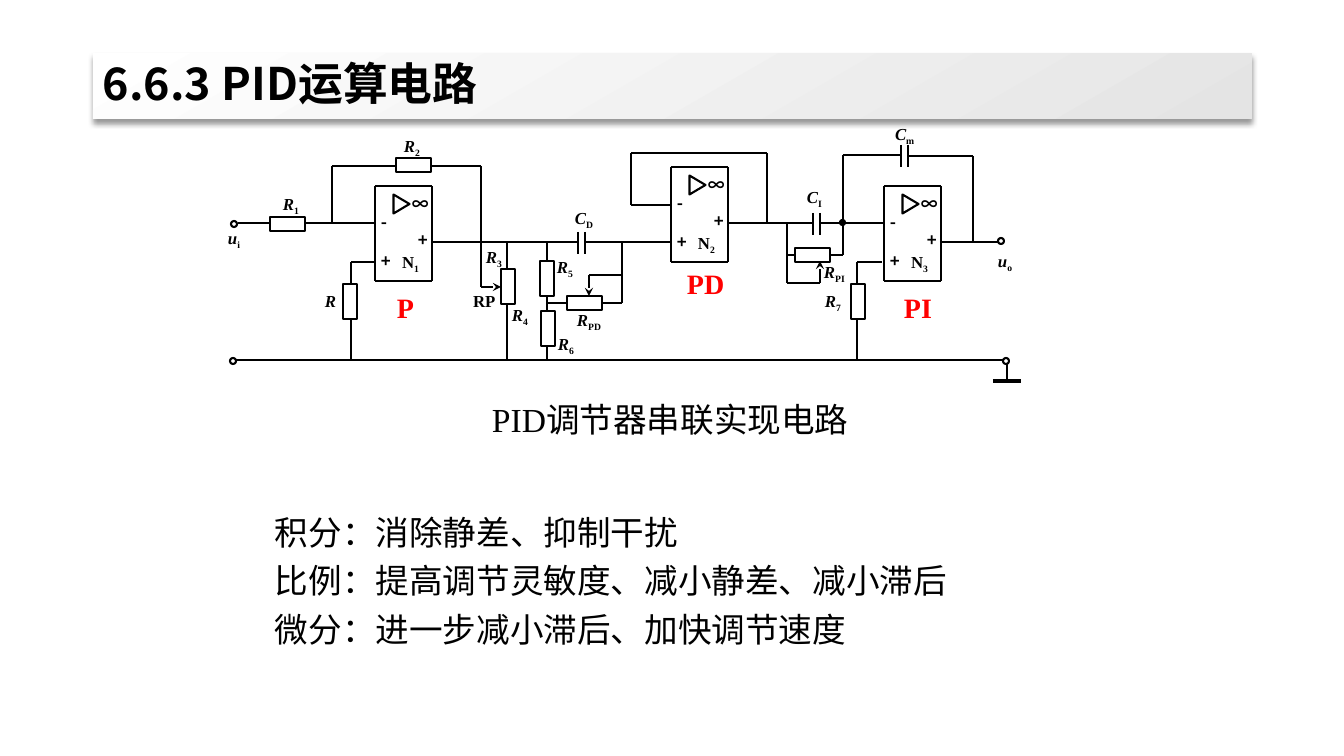
"""Build the slide on the PID operational circuit."""
from lxml import etree
from pptx import Presentation, util as u
from pptx.dml.color import RGBColor
from pptx.enum import shapes, text
from pptx.oxml import parse_xml
from pptx.oxml.ns import nsdecls, qn

SERIF, SANS = "Times New Roman", "Noto Sans CJK SC"
BLACK, WHITE, RED = "000000", "FFFFFF", "FF0000"
TITLE = "6.6.3 PID运算电路"
CAPTION = [("PID", SERIF), ("调节器串联实现电路", SANS)]
ROLES = ["积分：消除静差、抑制干扰", "比例：提高调节灵敏度、减小静差、减小滞后", "微分：进一步减小滞后、加快调节速度"]

WIRES = [
    [(238, 223), (375, 223)],
    [(332, 223), (332, 166), (481, 166), (481, 287)],
    [(374, 262), (351, 262), (351, 360)],
    [(432, 242), (578, 242)],
    [(507, 243), (507, 360)],
    [(547, 243), (547, 360)],
    [(585, 242), (672, 242)],
    [(622, 242), (622, 303), (603, 303)],
    [(548, 303), (567, 303)],
    [(589, 275), (622, 275)],
    [(671, 205), (631, 205), (631, 153), (767, 153), (767, 223)],
    [(728, 223), (813, 223)],
    [(821, 223), (883, 223)],
    [(787, 223), (787, 283), (820, 283)],
    [(787, 255), (843, 255), (843, 155), (901, 155)],
    [(909, 156), (973, 156), (973, 242)],
    [(940, 242), (999, 242)],
    [(882, 262), (857, 262), (857, 360)],
    [(231, 360), (1006, 360)],
    [(1007, 364), (1007, 380)],
]
ARROWS = [[(481, 287), (501, 287)], [(589, 275), (589, 296)], [(820, 283), (820, 261)]]
CAPACITORS = [(578, 232), (813, 213), (901, 145)]
FLAT_RESISTORS = [(270, 217), (396, 158), (567, 296), (795, 248)]
UPRIGHT_RESISTORS = [(343, 284), (501, 269), (540, 261), (541, 311), (851, 284)]
TERMINALS = [(231, 221), (998, 238), (230, 358), (1003, 358)]
AMPLIFIERS = [("1", 375, 186), ("2", 671, 167), ("3", 884, 186)]
AMPLIFIER_MARKS = [("∞", 37, 8), ("-", 6, 26), ("+", 6, 65), ("+", 43, 44)]
SYMBOLS = [
    ("R", "1", 283, 194, 29), ("R", "2", 404, 136, 27), ("R", "3", 486, 247, 22),
    ("R", "4", 512, 305, 22), ("R", "5", 557, 257, 22), ("R", "6", 558, 334, 22),
    ("R", "7", 825, 291, 33), ("R", "", 325, 291, 19), ("R", "PD", 577, 310, 30),
    ("R", "PI", 824, 262, 33), ("C", "D", 575, 208, 28), ("C", "I", 807, 187, 21),
    ("C", "m", 895, 124, 26), ("u", "i", 228, 228, 18), ("u", "o", 998, 251, 21),
]
STAGES = [("P", 397, 291), ("PD", 687, 267), ("PI", 904, 291)]

deck = Presentation()


def px(length):
    """Turn pixels into EMU."""
    return u.Emu(round(length * 914400 / 100.8))


def color(value):
    """Turn a hex string into a colour."""
    return RGBColor.from_string(value)


def add_span(para, words, size, font, bold=False, italic=False, ink=BLACK, base=None):
    """Add one run of text."""
    span = para.add_run()
    span.text = words
    face = span.font
    face.size, face.name, face.bold, face.italic = u.Pt(size), font, bold, italic
    face.color.rgb = color(ink)
    etree.SubElement(face._element, qn("a:ea")).set("typeface", font)
    if base:
        face._element.set("baseline", str(base * 1000))


def add_box(page, x, y, w, h, inset=0):
    """Add a wrapping text box and return its frame."""
    frame = page.shapes.add_textbox(px(x), px(y), px(w), px(h)).text_frame
    frame.word_wrap = True
    if not inset:
        frame.margin_left = frame.margin_right = frame.margin_top = frame.margin_bottom = 0
    return frame


def add_label(page, words, sub, x, y, w, size=12, font=SERIF, italic=False, ink=BLACK):
    """Add a bold circuit label with an optional subscript."""
    para = add_box(page, x, y, w, 22).paragraphs[0]
    add_span(para, words, size, font, True, italic, ink)
    if sub:
        add_span(para, sub, size, font, True, False, ink, -25)


def add_wire(page, points, weight=1.5, arrow=False):
    """Join successive points with straight lines."""
    for start, end in zip(points, points[1:]):
        line = page.shapes.add_connector(
            shapes.MSO_CONNECTOR.STRAIGHT, *[px(n) for n in (*start, *end)])
        line.line.color.rgb = color(BLACK)
        line.line.width = u.Pt(weight)
        if arrow:
            etree.SubElement(line.line._get_or_add_ln(), qn("a:tailEnd")).set("type", "stealth")
        etree.SubElement(line._element.spPr, qn("a:effectLst"))


def add_part(page, kind, x, y, w, h, fill=WHITE):
    """Add an outlined circuit part."""
    part = page.shapes.add_shape(kind, px(x), px(y), px(w), px(h))
    part.shadow.inherit = False
    part.fill.solid()
    part.fill.fore_color.rgb = color(fill)
    part.line.color.rgb = color(BLACK)
    part.line.width = u.Pt(1.5)
    return part


def add_amplifier(page, number, x, y):
    """Add an operational amplifier with its signs."""
    right, bottom = x + 57, y + 95
    add_wire(page, [(x, y), (right, y), (right, bottom), (x, bottom), (x, y)])
    add_part(page, shapes.MSO_SHAPE.ISOSCELES_TRIANGLE, x + 17, y + 10, 19, 16).rotation = 90
    for mark, dx, dy in AMPLIFIER_MARKS:
        add_label(page, mark, "", x + dx, y + dy, 17, font=SANS)
    add_label(page, "N", number, x + 27, y + 66, 24)


def add_title(page):
    """Add the shaded title bar."""
    bar = add_part(page, shapes.MSO_SHAPE.RECTANGLE, 93, 53, 1159, 66)
    bar.line.fill.background()
    bar.fill.gradient()
    bar.fill.gradient_angle = 300
    for stop, shade in zip(bar.fill.gradient_stops, (WHITE, "E4E4E4")):
        stop.color.rgb = color(shade)
    effects = bar._element.spPr.find(qn("a:effectLst"))
    effects.append(parse_xml(
        f'<a:outerShdw {nsdecls("a")} blurRad="{u.Pt(4)}" dist="{u.Pt(3)}" dir="5400000" '
        'algn="t" rotWithShape="0"><a:srgbClr val="000000"><a:alpha val="40000"/>'
        '</a:srgbClr></a:outerShdw>'))
    frame = bar.text_frame
    frame.vertical_anchor = text.MSO_ANCHOR.MIDDLE
    para = frame.paragraphs[0]
    para.alignment = text.PP_ALIGN.LEFT
    para.line_spacing = 0.9
    add_span(para, TITLE, 32, SANS, True)


def add_circuit(page):
    """Draw the three stages and their wiring."""
    for points in WIRES:
        add_wire(page, points)
    for points in ARROWS:
        add_wire(page, points, arrow=True)
    add_wire(page, [(993, 381), (1021, 381)], 2.5)
    for x, y in CAPACITORS:
        for plate in (x, x + 7):
            add_wire(page, [(plate, y), (plate, y + 22)])
    for spots, w, h in ((FLAT_RESISTORS, 35, 14), (UPRIGHT_RESISTORS, 14, 35)):
        for x, y in spots:
            add_part(page, shapes.MSO_SHAPE.RECTANGLE, x, y, w, h)
    for x, y in TERMINALS:
        add_part(page, shapes.MSO_SHAPE.OVAL, x, y, 6, 6)
    add_part(page, shapes.MSO_SHAPE.OVAL, 840, 220, 5, 5, BLACK)
    for number, x, y in AMPLIFIERS:
        add_amplifier(page, number, x, y)
    for letter, sub, x, y, w in SYMBOLS:
        add_label(page, letter, sub, x, y, w, italic=True)
    add_label(page, "RP", "", 473, 291, 39)
    for name, x, y in STAGES:
        add_label(page, name, "", x, y, 60, size=20, ink=RED)


def main():
    """Assemble and save the slide."""
    deck.slide_width, deck.slide_height = px(1344), px(756)
    page = deck.slides.add_slide(deck.slide_layouts[6])
    add_circuit(page)
    roles = add_box(page, 265, 499, 861, 157, inset=1)
    for index, words in enumerate(ROLES):
        para = roles.add_paragraph() if index else roles.paragraphs[0]
        para.line_spacing = 1.2
        add_span(para, words, 24, SANS)
    caption = add_box(page, 482, 394, 428, 50, inset=1).paragraphs[0]
    for words, font in CAPTION:
        add_span(caption, words, 24, font)
    add_title(page)
    deck.save("out.pptx")


if __name__ == "__main__":
    main()
